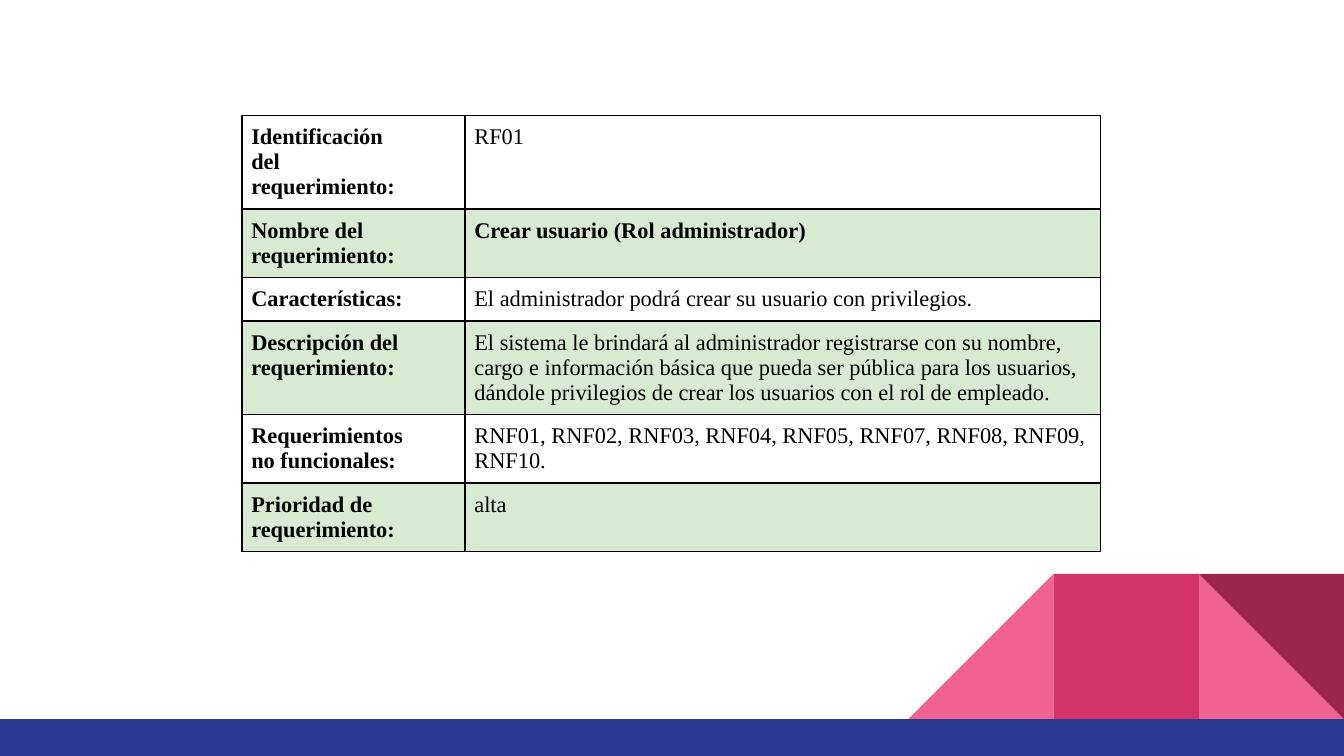
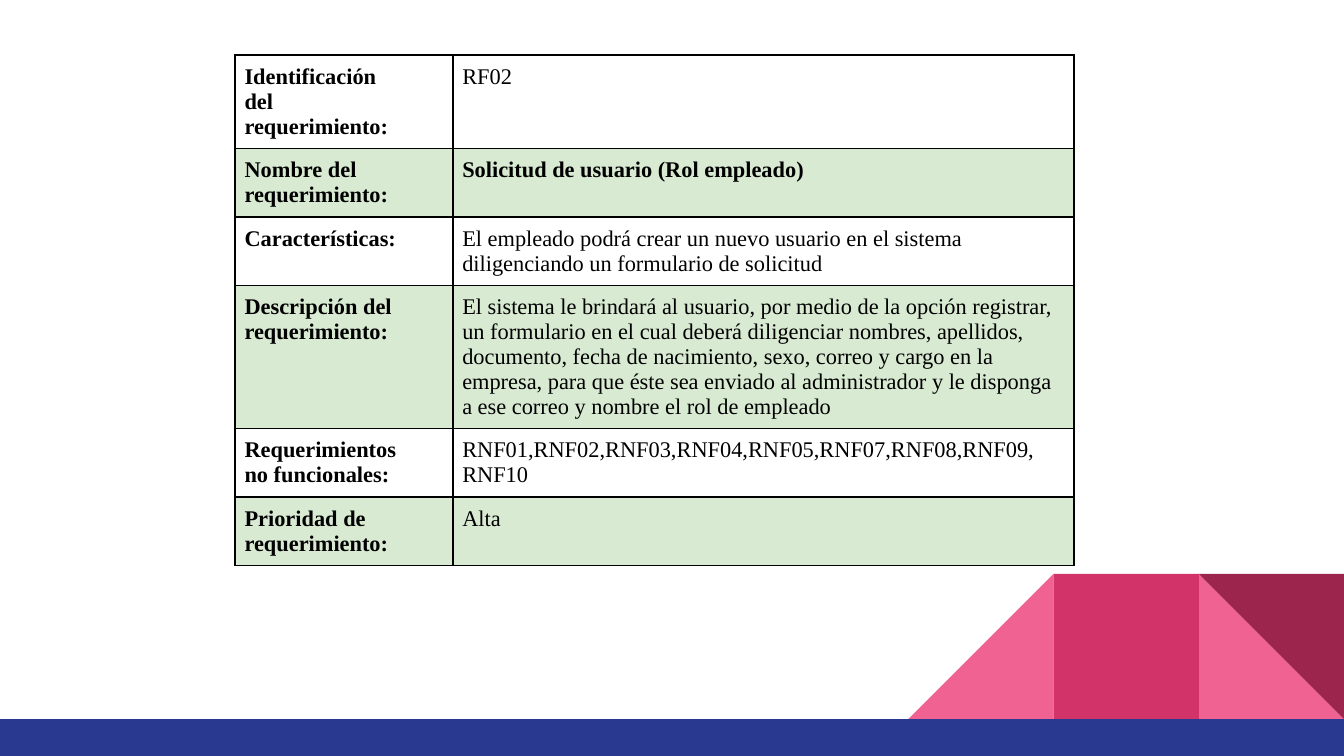
from dataclasses import dataclass

import lxml.etree
import pptx
import pptx.dml.color
import pptx.enum.shapes
import pptx.oxml.ns
import pptx.util

Inches = pptx.util.Inches
Shape = pptx.enum.shapes.MSO_SHAPE

FONT = "Times New Roman"
BLACK = "000000"
GREEN = "D9EAD3"
PINK = "F06292"
ROSE = "D23369"
WINE = "9C254D"
BLUE = "2A3990"

TILE = 1.08
TILE_TOP = 4.27
BAND_TOP = TILE_TOP + TILE
INSET = 0.07
LINE_HEIGHT = 0.18
NAME_ROW = 1

LABELS = (
    ("Identificación", "del", "requerimiento:"),
    ("Nombre del", "requerimiento:"),
    ("Características:",),
    ("Descripción del", "requerimiento:"),
    ("Requerimientos", "no funcionales:"),
    ("Prioridad de", "requerimiento:"),
)


@dataclass(frozen=True)
class Decoration:
    shape: Shape
    left: float
    top: float
    width: float
    height: float
    color: str
    rotation: int = 0
    flipped: bool = False


@dataclass(frozen=True)
class Requirement:
    left: float
    top: float
    widths: tuple[float, float]
    line_counts: tuple[int, ...]
    values: tuple[tuple[str, ...], ...]


DECORATIONS = (
    Decoration(Shape.RIGHT_TRIANGLE, 10 - TILE, TILE_TOP, TILE, TILE, PINK),
    Decoration(Shape.RIGHT_TRIANGLE, 10 - 3 * TILE, TILE_TOP, TILE, TILE, PINK, flipped=True),
    Decoration(Shape.RECTANGLE, 10 - 2 * TILE, TILE_TOP, TILE, TILE, ROSE),
    Decoration(Shape.RIGHT_TRIANGLE, 10 - TILE, TILE_TOP, TILE, TILE, WINE, rotation=180),
    Decoration(Shape.RECTANGLE, 0, BAND_TOP, 10, 0.28, BLUE),
)

REQUIREMENTS = (
    Requirement(
        1.8, 0.86, (1.66, 4.73), (3, 2, 1, 3, 2, 2),
        (
            ("RF01",),
            ("Crear usuario (Rol administrador)",),
            ("El administrador podrá crear su usuario con privilegios.",),
            ("El sistema le brindará al administrador registrarse con su nombre, "
             "cargo e información básica que pueda ser pública para los usuarios, "
             "dándole privilegios de crear los usuarios con el rol de empleado.",),
            ("RNF01, RNF02, RNF03, RNF04, RNF05, RNF07, RNF08, RNF09, RNF10.",),
            ("alta",),
        ),
    ),
    Requirement(
        1.75, 0.41, (1.62, 4.62), (3, 2, 2, 5, 2, 2),
        (
            ("RF02",),
            ("Solicitud de usuario (Rol empleado)",),
            ("El empleado podrá crear un nuevo usuario en el sistema "
             "diligenciando un formulario de solicitud",),
            ("El sistema le brindará al usuario, por medio de la opción registrar, "
             "un formulario en el cual deberá diligenciar nombres, apellidos, "
             "documento, fecha de nacimiento, sexo, correo y cargo en la "
             "empresa, para que éste sea enviado al administrador y le disponga "
             "a ese correo y nombre el rol de empleado",),
            ("RNF01,RNF02,RNF03,RNF04,RNF05,RNF07,RNF08,RNF09,", "RNF10"),
            ("Alta",),
        ),
    ),
)


def rgb(color: str) -> pptx.dml.color.RGBColor:
    return pptx.dml.color.RGBColor.from_string(color)


def add_decorations(s) -> None:
    group = s.shapes.add_group_shape()
    for d in DECORATIONS:
        sp = group.shapes.add_shape(
            d.shape, Inches(d.left), Inches(d.top), Inches(d.width), Inches(d.height)
        )
        sp.shadow.inherit = False
        sp.fill.solid()
        sp.fill.fore_color.rgb = rgb(d.color)
        sp.line.fill.background()
        sp.rotation = d.rotation
        if d.flipped:
            sp._element.spPr.xfrm.set("flipH", "1")


def add_borders(cell) -> None:
    qn = pptx.oxml.ns.qn
    tc_pr = cell._tc.get_or_add_tcPr()
    for side in ("lnL", "lnR", "lnT", "lnB"):
        ln = lxml.etree.SubElement(tc_pr, qn(f"a:{side}"), w=str(pptx.util.Pt(1)))
        fill = lxml.etree.SubElement(ln, qn("a:solidFill"))
        lxml.etree.SubElement(fill, qn("a:srgbClr"), val=BLACK)


def fill_cell(cell, lines: tuple[str, ...], bold: bool, shaded: bool) -> None:
    cell.margin_left = cell.margin_right = Inches(INSET)
    cell.margin_top = cell.margin_bottom = Inches(INSET)
    add_borders(cell)
    if shaded:
        cell.fill.solid()
        cell.fill.fore_color.rgb = rgb(GREEN)
    else:
        cell.fill.background()
    tf = cell.text_frame
    for i, line in enumerate(lines):
        p = tf.add_paragraph() if i else tf.paragraphs[0]
        r = p.add_run()
        r.text = line
        r.font.name = FONT
        r.font.size = pptx.util.Pt(12)
        r.font.bold = bold
        r.font.color.rgb = rgb(BLACK)


def add_requirement(s, req: Requirement) -> None:
    heights = [Inches(2 * INSET + LINE_HEIGHT * n) for n in req.line_counts]
    table = s.shapes.add_table(
        len(LABELS), 2, Inches(req.left), Inches(req.top),
        Inches(sum(req.widths)), sum(heights),
    ).table
    table.first_row = False
    table.horz_banding = False
    for column, width in zip(table.columns, req.widths):
        column.width = Inches(width)
    for i, (label, value) in enumerate(zip(LABELS, req.values)):
        table.rows[i].height = heights[i]
        shaded = i % 2 == 1
        fill_cell(table.cell(i, 0), label, True, shaded)
        fill_cell(table.cell(i, 1), value, i == NAME_ROW, shaded)


def main() -> None:
    prs = pptx.Presentation()
    prs.slide_width = Inches(10)
    prs.slide_height = prs.slide_width * 9 // 16
    for req in REQUIREMENTS:
        s = prs.slides.add_slide(prs.slide_layouts[6])
        add_decorations(s)
        add_requirement(s, req)
    prs.save("out.pptx")


if __name__ == "__main__":
    main()
